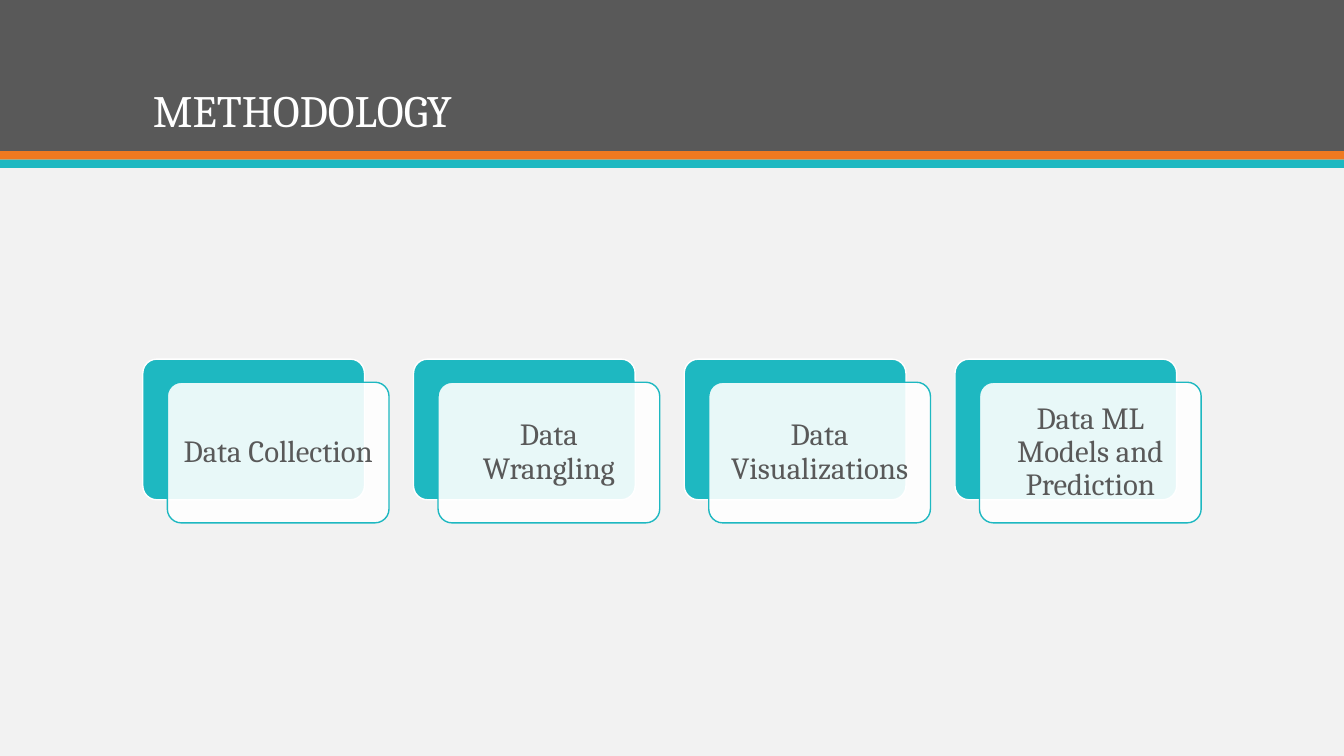
from pptx import Presentation
from pptx.dml.color import RGBColor
from pptx.enum.shapes import MSO_SHAPE as Shape
from pptx.enum.text import MSO_ANCHOR as Anchor, PP_ALIGN as Align
from pptx.oxml.ns import qn
from pptx.util import Pt
from lxml import etree

WHITE = RGBColor(0xFF, 0xFF, 0xFF)
PALE = RGBColor(0xF2, 0xF2, 0xF2)
GRAY = RGBColor(0x59, 0x59, 0x59)
ORANGE = RGBColor(0xEF, 0x79, 0x20)
TEAL = RGBColor(0x1E, 0xB8, 0xC1)
FONT = "Cambria"
WIDTH, HEIGHT = 960, 540
STEPS = ["Data Collection", "Data Wrangling", "Data Visualizations",
         "Data ML Models and Prediction"]


def add_box(slide, kind, box, fill, line=None):
    shape = slide.shapes.add_shape(kind, *map(Pt, box))
    shape.shadow.inherit = False
    shape.fill.solid()
    shape.fill.fore_color.rgb = fill
    if line is None:
        shape.line.fill.background()
    else:
        shape.line.color.rgb = line
        shape.line.width = Pt(1)
    return shape


def set_text(shape, text, size, color, align, anchor):
    frame = shape.text_frame
    frame.word_wrap = True
    frame.vertical_anchor = anchor
    frame.text = text
    para = frame.paragraphs[0]
    para.alignment = align
    para.line_spacing = 0.9
    para.font.name = FONT
    para.font.size = Pt(size)
    para.font.bold = False
    para.font.color.rgb = color


def add_header(slide, box):
    left, top, width, height = box
    # Dark band with two stripes below it
    add_box(slide, Shape.RECTANGLE, box, GRAY)
    stripe = 6
    for row, color in enumerate([ORANGE, TEAL]):
        place = (left, top + height + row * stripe, width, stripe)
        add_box(slide, Shape.RECTANGLE, place, color)
    # Title, moved in front of the band
    title = slide.shapes.title
    title.left, title.top = Pt(left + 102), Pt(top + 20)
    title.width, title.height = Pt(756), Pt(81.5)
    set_text(title, "METHODOLOGY", 32, WHITE, Align.LEFT, Anchor.BOTTOM)
    slide.shapes._spTree.append(title._element)


def add_step(slide, box, text):
    left, top, width, height = box
    shift_x, shift_y = 17.5, 16.5
    size = (width - shift_x, height - shift_y)
    # Teal card behind
    back = add_box(slide, Shape.ROUNDED_RECTANGLE, (left, top, *size),
                   TEAL, WHITE)
    # Clear white card in front, holding the label
    front = add_box(slide, Shape.ROUNDED_RECTANGLE,
                    (left + shift_x, top + shift_y, *size), WHITE, TEAL)
    for card in (back, front):
        card.adjustments[0] = 0.1
    color = front._element.spPr.find(qn("a:solidFill"))[0]
    etree.SubElement(color, qn("a:alpha"), val="90000")
    frame = front.text_frame
    frame.margin_left = frame.margin_right = Pt(6.5)
    frame.margin_top = frame.margin_bottom = Pt(6.5)
    set_text(front, text, 22, GRAY, Align.CENTER, Anchor.MIDDLE)


def add_steps(slide, box):
    left, top, width, height = box
    gap = 17.5
    step = (width + gap) / len(STEPS)
    for col, text in enumerate(STEPS):
        add_step(slide, (left + col * step, top, step - gap, height), text)


def main():
    deck = Presentation()
    deck.slide_width, deck.slide_height = Pt(WIDTH), Pt(HEIGHT)
    slide = deck.slides.add_slide(deck.slide_layouts[5])
    slide.background.fill.solid()
    slide.background.fill.fore_color.rgb = PALE
    add_header(slide, (0, 0, WIDTH, 108))
    add_steps(slide, (102, 256.5, 756, 117))
    deck.save("out.pptx")


if __name__ == "__main__":
    main()
